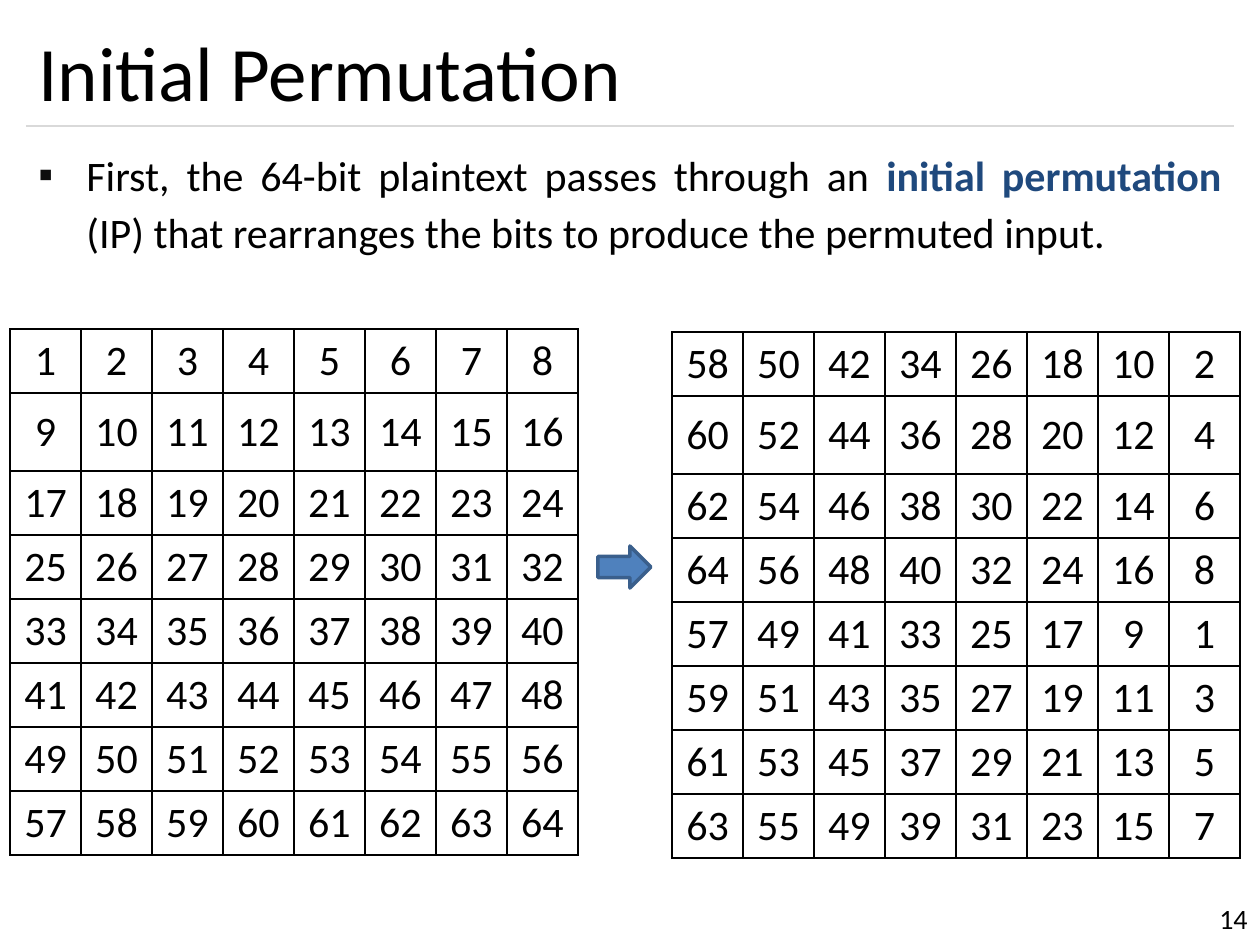
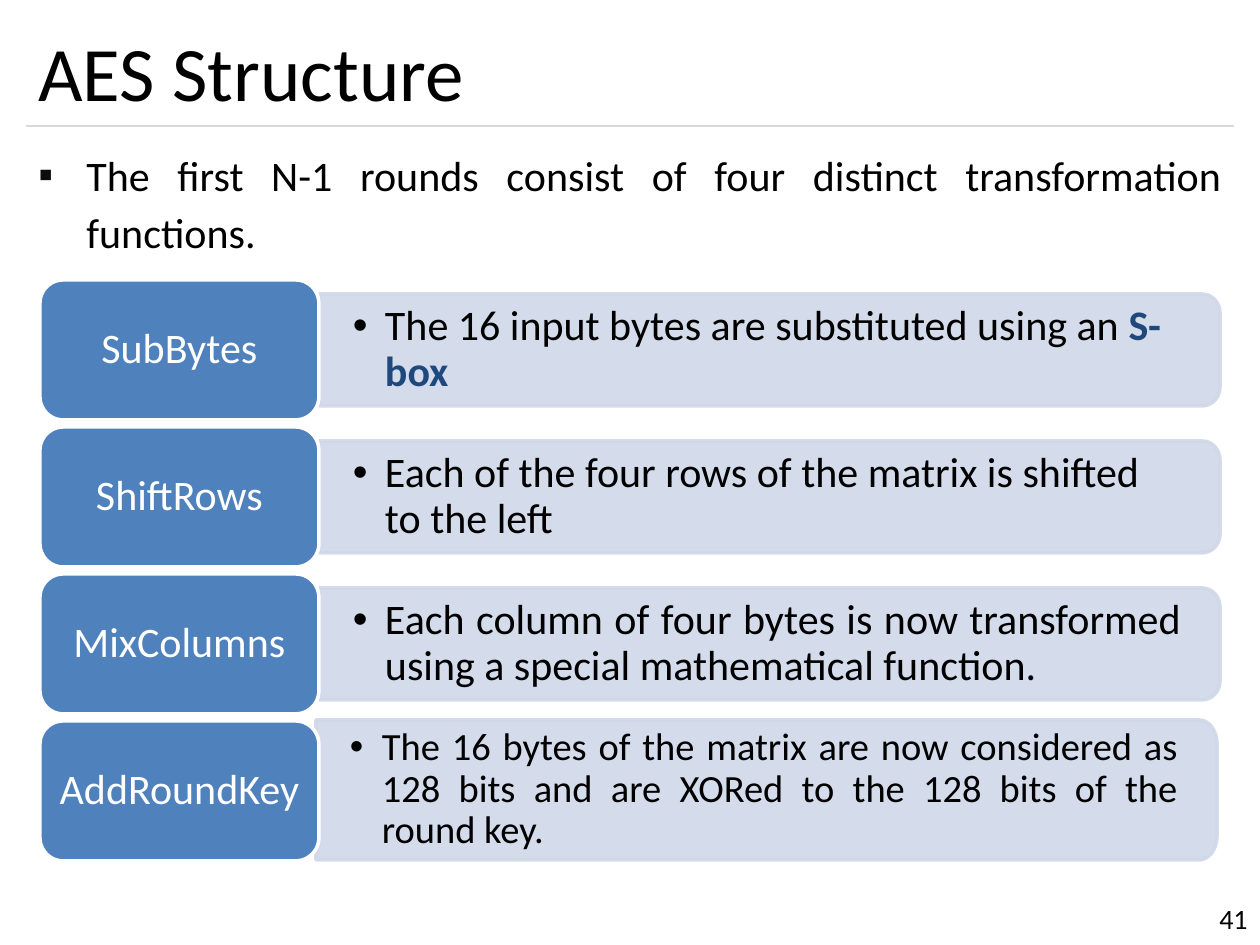
from math import cos, pi, sin

from lxml.etree import SubElement
from pptx import Presentation
from pptx.dml.color import RGBColor
from pptx.enum.shapes import MSO_CONNECTOR as Connector, MSO_SHAPE as Preset
from pptx.enum.text import MSO_ANCHOR as Anchor, PP_ALIGN as Align
from pptx.oxml.ns import qn
from pptx.util import Emu, Pt

PX = 914400 / 126
FONT = "Calibri"
BLACK = RGBColor(0x00, 0x00, 0x00)
WHITE = RGBColor(0xFF, 0xFF, 0xFF)
RULE_GREY = RGBColor(0xD9, 0xD9, 0xD9)
BULLET = RGBColor(0x0D, 0x0D, 0x0D)
NAVY = RGBColor(0x1F, 0x49, 0x7D)
BLUE = RGBColor(0x4F, 0x81, 0xBD)
DARK_BLUE = RGBColor(0x3A, 0x5F, 0x8C)
PALE_BLUE = RGBColor(0xD0, 0xD8, 0xE8)

PERMUTATION = {
    "title": "Initial Permutation",
    "page": 14,
    "body": [
        ("First, the 64-bit plaintext passes through an ", False),
        ("initial permutation", True),
        (" (IP) that rearranges the bits to produce the permuted input.", False),
    ],
}
STRUCTURE = {
    "title": "AES Structure",
    "page": 41,
    "body": [("The first N-1 rounds consist of four distinct transformation functions.", False)],
}

PLAIN_BITS = [[8 * row + col for col in range(1, 9)] for row in range(8)]
PERMUTED_BITS = [[first - 8 * col for col in range(8)]
                 for first in (58, 60, 62, 64, 57, 59, 61, 63)]
PERMUTED_BITS[7][2] = 49
BIT_TABLES = [(10, 329, PLAIN_BITS), (672, 332, PERMUTED_BITS)]
COLUMN_WIDTH = 71
ROW_HEIGHTS = [64, 78] + [64] * 6

STEPS = [
    ("SubBytes", [("The 16 input bytes are substituted using an ", False), ("S-box", True)],
     Align.LEFT, 24, (319, 14, 112)),
    ("ShiftRows", [("Each of the four rows of the matrix is shifted to the left", False)],
     Align.LEFT, 24, (319, 14, 112)),
    ("MixColumns", [("Each column of four bytes is now transformed using a special "
                     "mathematical function.", False)],
     Align.JUSTIFY, 24, (319, 14, 112)),
    ("AddRoundKey", [("The 16 bytes of the matrix are now considered as 128 bits and are "
                      "XORed to the 128 bits of the round key.", False)],
     Align.JUSTIFY, 22, (316, -1, 140)),
]
STEP_TOP, STEP_PITCH = 280, 147
LABEL_LEFT, LABEL_WIDTH, LABEL_HEIGHT = 40, 279, 140
DETAIL_WIDTH, CORNER = 901, 18


def px(*lengths):
    return [Emu(round(length * PX)) for length in lengths]


def set_text(frame, pieces, size, color=BLACK, align=Align.LEFT, anchor=Anchor.MIDDLE,
             spacing=None, before=None, bullet=None):
    frame.word_wrap = True
    frame.vertical_anchor = anchor
    paragraph = frame.paragraphs[0]
    paragraph.alignment = align
    if spacing:
        paragraph.line_spacing = spacing
    if before:
        paragraph.space_before = Pt(before)
    if bullet:
        add_bullet(paragraph, *bullet)
    paragraph.font.name = FONT
    paragraph.font.size = Pt(size)
    paragraph.font.color.rgb = color
    for text, emphasised in pieces:
        run = paragraph.add_run()
        run.text = text
        if emphasised:
            run.font.bold = True
            run.font.color.rgb = NAVY


def add_bullet(paragraph, symbol, indent, color):
    properties = paragraph._p.get_or_add_pPr()
    hang = px(indent)[0]
    properties.set("marL", str(hang))
    properties.set("indent", str(-hang))
    SubElement(SubElement(properties, qn("a:buClr")), qn("a:srgbClr")).set("val", str(color))
    SubElement(properties, qn("a:buFont")).set("typeface", "Arial")
    SubElement(properties, qn("a:buChar")).set("char", symbol)


def set_margins(frame, left, top, right, bottom):
    (frame.margin_left, frame.margin_top,
     frame.margin_right, frame.margin_bottom) = px(left, top, right, bottom)


def paint(shape, fill, line):
    shape.shadow.inherit = False
    shape.fill.solid()
    shape.fill.fore_color.rgb = fill
    shape.line.color.rgb = line
    shape.line.width = Pt(2)


def add_text(slide, box, pieces, size, **style):
    set_text(slide.shapes.add_textbox(*px(*box)).text_frame, pieces, size, **style)


def add_base(deck, content):
    slide = deck.slides.add_slide(deck.slide_layouts[6])
    add_text(slide, (0, 892, 1260, 53), [(str(content["page"]), False)], 16, align=Align.RIGHT)
    rule = slide.shapes.add_connector(Connector.STRAIGHT, *px(26, 126, 1234, 126))
    rule.line.color.rgb = RULE_GREY
    rule.line.width = Pt(0.75)
    SubElement(rule._element.spPr, qn("a:effectLst"))
    add_text(slide, (26, 15, 1208, 111), [(content["title"], False)], 44)
    add_text(slide, (26, 136, 1208, 147), content["body"], 24, align=Align.JUSTIFY,
             anchor=Anchor.TOP, spacing=1.14, before=4.8, bullet=("▪", 48, BULLET))
    return slide


def add_borders(cell):
    properties = cell._tc.get_or_add_tcPr()
    for position, side in enumerate(("lnL", "lnR", "lnT", "lnB")):
        border = properties.makeelement(qn("a:" + side), {"w": str(Pt(1))})
        fill = SubElement(border, qn("a:solidFill"))
        SubElement(fill, qn("a:srgbClr")).set("val", str(BLACK))
        properties.insert(position, border)


def add_bits(slide, left, top, bits):
    size = COLUMN_WIDTH * len(bits[0]), sum(ROW_HEIGHTS)
    table = slide.shapes.add_table(len(bits), len(bits[0]), *px(left, top, *size)).table
    table.first_row = table.horz_banding = False
    for column in table.columns:
        column.width = px(COLUMN_WIDTH)[0]
    for row, height, values in zip(table.rows, ROW_HEIGHTS, bits):
        row.height = px(height)[0]
        for cell, value in zip(row.cells, values):
            cell.fill.background()
            set_margins(cell, 6, 6, 6, 6)
            cell.vertical_anchor = Anchor.MIDDLE
            set_text(cell.text_frame, [(str(value), False)], 24, align=Align.CENTER)
            add_borders(cell)


def add_detail(slide, left, top, height, pieces, align, size):
    right, bottom, drop = left + DETAIL_WIDTH, top + height, height / 6
    angles = [step * pi / 16 for step in range(9)]
    upper = [(right - CORNER + CORNER * sin(a), top + drop - drop * cos(a)) for a in angles]
    lower = [(x, top + bottom - y) for x, y in reversed(upper)]
    outline = [px(*point) for point in upper + lower + [(left, bottom)]]
    builder = slide.shapes.build_freeform(*px(left, top))
    builder.add_line_segments(outline, close=True)
    detail = builder.convert_to_shape()
    paint(detail, PALE_BLUE, PALE_BLUE)
    for color in detail._element.spPr.iter(qn("a:srgbClr")):
        SubElement(color, qn("a:alpha")).set("val", "90000")
    set_margins(detail.text_frame, 34, 0, 39, 0)
    set_text(detail.text_frame, pieces, size, align=align, spacing=0.9,
             bullet=("•", 32, BLACK))


def add_step(slide, top, name, pieces, align, size, place):
    left, offset, height = place
    add_detail(slide, left, top + offset, height, pieces, align, size)
    label = slide.shapes.add_shape(Preset.ROUNDED_RECTANGLE,
                                   *px(LABEL_LEFT, top, LABEL_WIDTH, LABEL_HEIGHT))
    paint(label, BLUE, WHITE)
    set_margins(label.text_frame, 8, 6, 8, 6)
    set_text(label.text_frame, [(name, False)], 24, color=WHITE, align=Align.CENTER,
             spacing=0.9)


def main():
    deck = Presentation()
    deck.slide_width, deck.slide_height = px(1260, 945)

    permutation = add_base(deck, PERMUTATION)
    for left, top, bits in BIT_TABLES:
        add_bits(permutation, left, top, bits)
    arrow = permutation.shapes.add_shape(Preset.RIGHT_ARROW, *px(598, 546, 53, 42))
    paint(arrow, BLUE, DARK_BLUE)

    structure = add_base(deck, STRUCTURE)
    for index, step in enumerate(STEPS):
        add_step(structure, STEP_TOP + index * STEP_PITCH, *step)

    deck.save("out.pptx")


if __name__ == "__main__":
    main()
